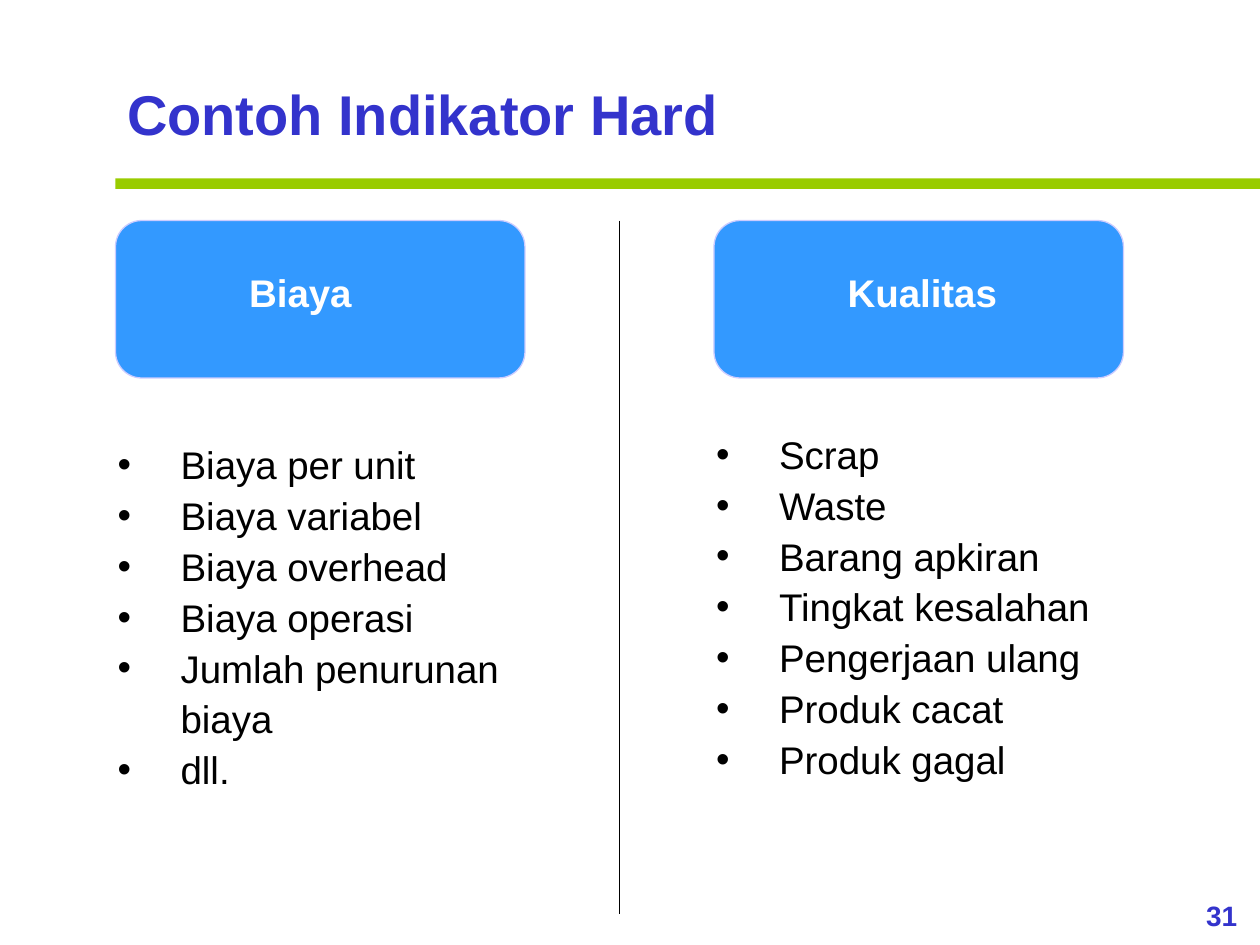
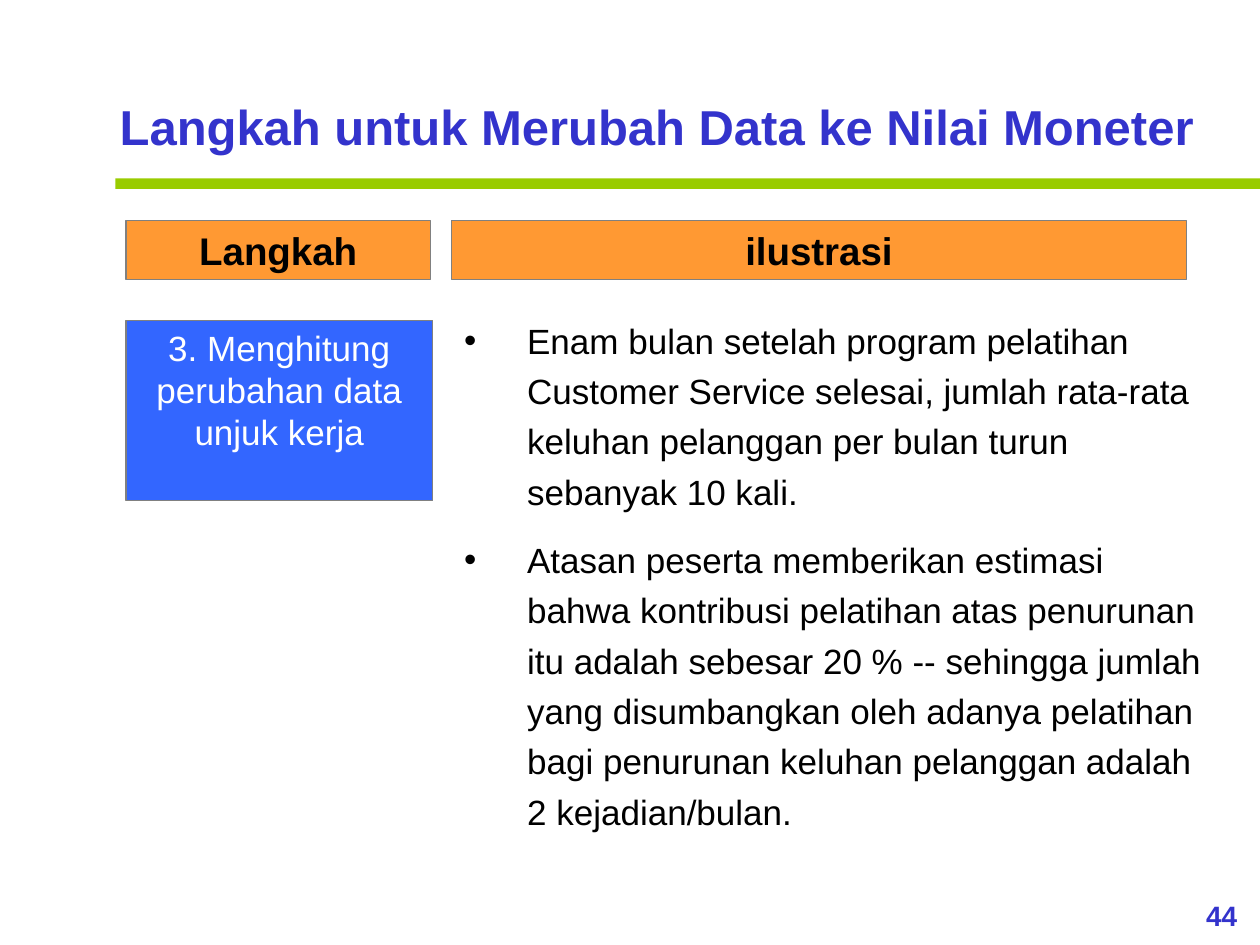
from pptx import Presentation
from pptx.dml.color import RGBColor
from pptx.enum.shapes import MSO_CONNECTOR, MSO_SHAPE
from pptx.enum.text import MSO_ANCHOR, MSO_AUTO_SIZE, PP_ALIGN
from pptx.oxml.ns import qn
from pptx.util import Pt
from lxml import etree

RECTANGLE, ROUNDED = MSO_SHAPE.RECTANGLE, MSO_SHAPE.ROUNDED_RECTANGLE
STRAIGHT = MSO_CONNECTOR.STRAIGHT
TOP = MSO_ANCHOR.TOP
NO_FIT = MSO_AUTO_SIZE.NONE
LEFT, CENTER = PP_ALIGN.LEFT, PP_ALIGN.CENTER

PX = 7620
FONT = "Arial"
CONTENT_LAYOUT, TWO_CONTENT_LAYOUT = 1, 3
BULLET_INDENT = 60
INSETS = (12, 6, 12, 6)
CARD_INSETS = (120, 39, 12, 6)
COLORS = {
    "title": "3333CC", "band": "99CC00", "card": "3399FF",
    "card_line": "CCCCFF", "header": "FF9933", "step": "3366FF",
    "box_line": "808080", "text": "000000", "white": "FFFFFF",
}

INDICATORS = {
    "title": "Contoh Indikator Hard", "title_box": (109, 63, 640, 83),
    "title_size": 32, "number": "31",
    "columns": [
        ("Biaya", 410, ["Biaya per unit", "Biaya variabel", "Biaya overhead",
                        "Biaya operasi", "Jumlah penurunan biaya", "dll."]),
        ("Kualitas", 400, ["Scrap", "Waste", "Barang apkiran",
                           "Tingkat kesalahan", "Pengerjaan ulang",
                           "Produk cacat", "Produk gagal"]),
    ],
}
STEPS = {
    "title": "Langkah untuk Merubah Data ke Nilai Moneter",
    "title_box": (102, 80, 1090, 74), "title_size": 28, "number": "44",
    "headers": [("Langkah", 120, 290), ("ilustrasi", 430, 700)],
    "step": "3. Menghitung perubahan data unjuk kerja",
    "illustration": [
        "Enam bulan setelah program pelatihan Customer Service selesai, "
        "jumlah rata-rata keluhan pelanggan per bulan turun sebanyak 10 kali.",
        "Atasan peserta memberikan estimasi bahwa kontribusi pelatihan atas "
        "penurunan itu adalah sebesar 20 % -- sehingga jumlah yang "
        "disumbangkan oleh adanya pelatihan bagi penurunan keluhan pelanggan "
        "adalah 2 kejadian/bulan.",
    ],
}


def color(name):
    return RGBColor.from_string(COLORS[name])


def place(shape, box):
    shape.left, shape.top, shape.width, shape.height = (n * PX for n in box)


def write(shape, lines, size, ink, bold=False, align=LEFT, spacing=1.0,
          gap=0, insets=INSETS, bullets=False):
    frame = shape.text_frame
    frame.text = "\n".join(lines)
    frame.word_wrap = True
    frame.auto_size = NO_FIT
    frame.vertical_anchor = TOP
    (frame.margin_left, frame.margin_top,
     frame.margin_right, frame.margin_bottom) = (n * PX for n in insets)
    for index, paragraph in enumerate(frame.paragraphs):
        paragraph.alignment = align
        paragraph.line_spacing = spacing
        paragraph.space_before = Pt(gap if index else 0)
        if bullets:
            properties = paragraph._p.get_or_add_pPr()
            properties.set("marL", str(BULLET_INDENT * PX))
            properties.set("indent", str(-BULLET_INDENT * PX))
            etree.SubElement(properties, qn("a:buChar")).set("char", "•")
        font = paragraph.font
        font.name, font.size, font.bold = FONT, Pt(size), bold
        font.color.rgb = color(ink)


def add_box(slide, kind, box, fill, line=None):
    shape = slide.shapes.add_shape(kind, *(n * PX for n in box))
    shape.shadow.inherit = False
    shape.fill.solid()
    shape.fill.fore_color.rgb = color(fill)
    if line:
        shape.line.color.rgb = color(line)
        shape.line.width = Pt(0.75)
    else:
        shape.line.fill.background()
    return shape


def add_list(placeholder, box, lines, size, spacing, gap=0):
    place(placeholder, box)
    write(placeholder, lines, size, "text", spacing=spacing, gap=gap, bullets=True)


def add_slide(presentation, layout, content):
    slide = presentation.slides.add_slide(presentation.slide_layouts[layout])
    add_box(slide, RECTANGLE, (110, 170, 1090, 10), "band")
    place(slide.shapes.title, content["title_box"])
    write(slide.shapes.title, [content["title"]], content["title_size"],
          "title", bold=True, spacing=1.1)
    number = slide.shapes.add_textbox(*(n * PX for n in (1127, 850, 73, 44)))
    write(number, [content["number"]], 16, "title", bold=True, align=CENTER)
    return slide


def add_indicators(presentation):
    slide = add_slide(presentation, TWO_CONTENT_LAYOUT, INDICATORS)
    for index, (label, list_top, lines) in enumerate(INDICATORS["columns"]):
        left = 110 + 570 * index
        card = add_box(slide, ROUNDED, (left, 210, 390, 150), "card", "card_line")
        write(card, [label], 22, "white", bold=True, insets=CARD_INSETS)
        add_list(slide.placeholders[index + 1], (left - 10, list_top, 460, 350),
                 lines, 22, 1.1)
    divider = slide.shapes.add_connector(
        STRAIGHT, *(n * PX for n in (590, 210, 590, 870)))
    divider.line.color.rgb = color("text")
    divider.line.width = Pt(0.75)
    etree.SubElement(divider._element.spPr, qn("a:effectLst"))


def add_steps(presentation):
    slide = add_slide(presentation, CONTENT_LAYOUT, STEPS)
    for label, left, width in STEPS["headers"]:
        header = add_box(slide, RECTANGLE, (left, 210, width, 56),
                         "header", "box_line")
        write(header, [label], 22, "text", bold=True, align=CENTER)
    step = add_box(slide, RECTANGLE, (120, 305, 292, 172), "step", "box_line")
    write(step, [STEPS["step"]], 20, "white", align=CENTER)
    add_list(slide.placeholders[1], (430, 290, 730, 509),
             STEPS["illustration"], 20, 1.2, gap=10)


def main():
    """Build the two training-evaluation slides."""
    presentation = Presentation()
    presentation.slide_width, presentation.slide_height = 1200 * PX, 900 * PX
    add_indicators(presentation)
    add_steps(presentation)
    presentation.save("out.pptx")


if __name__ == "__main__":
    main()
